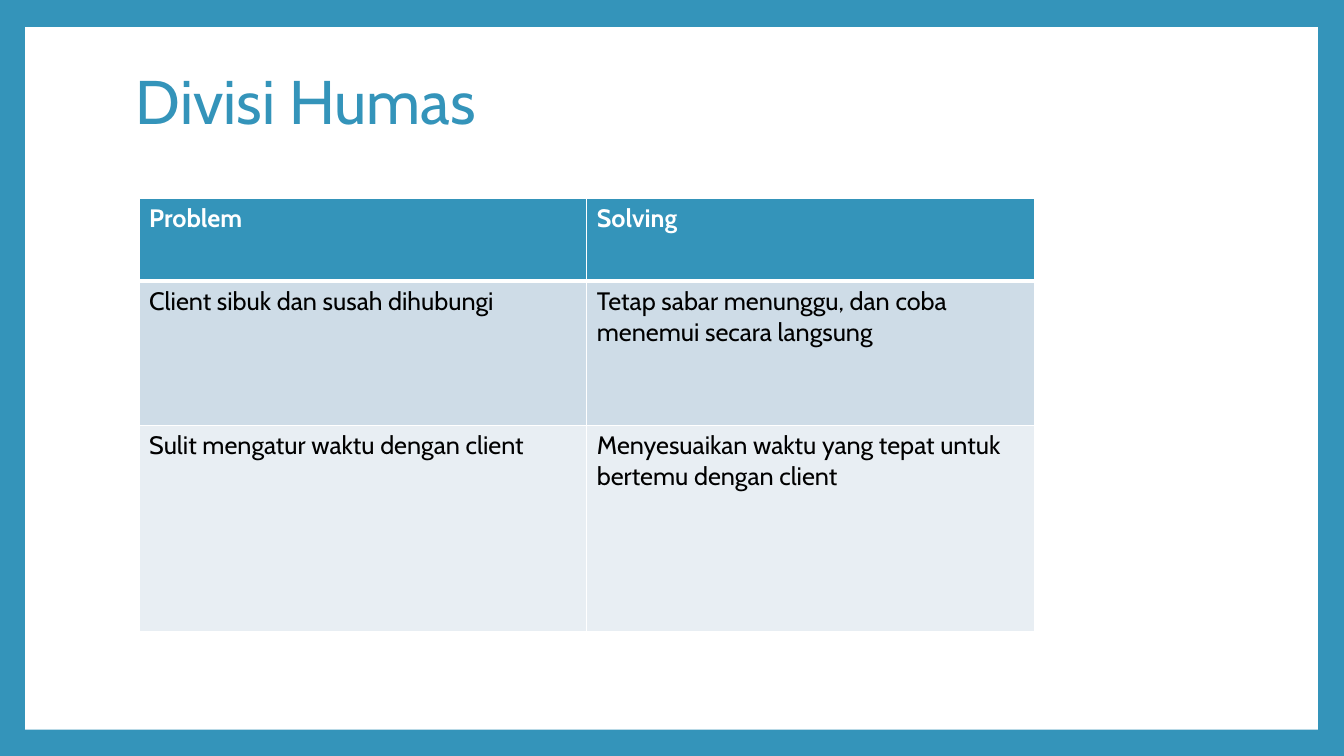
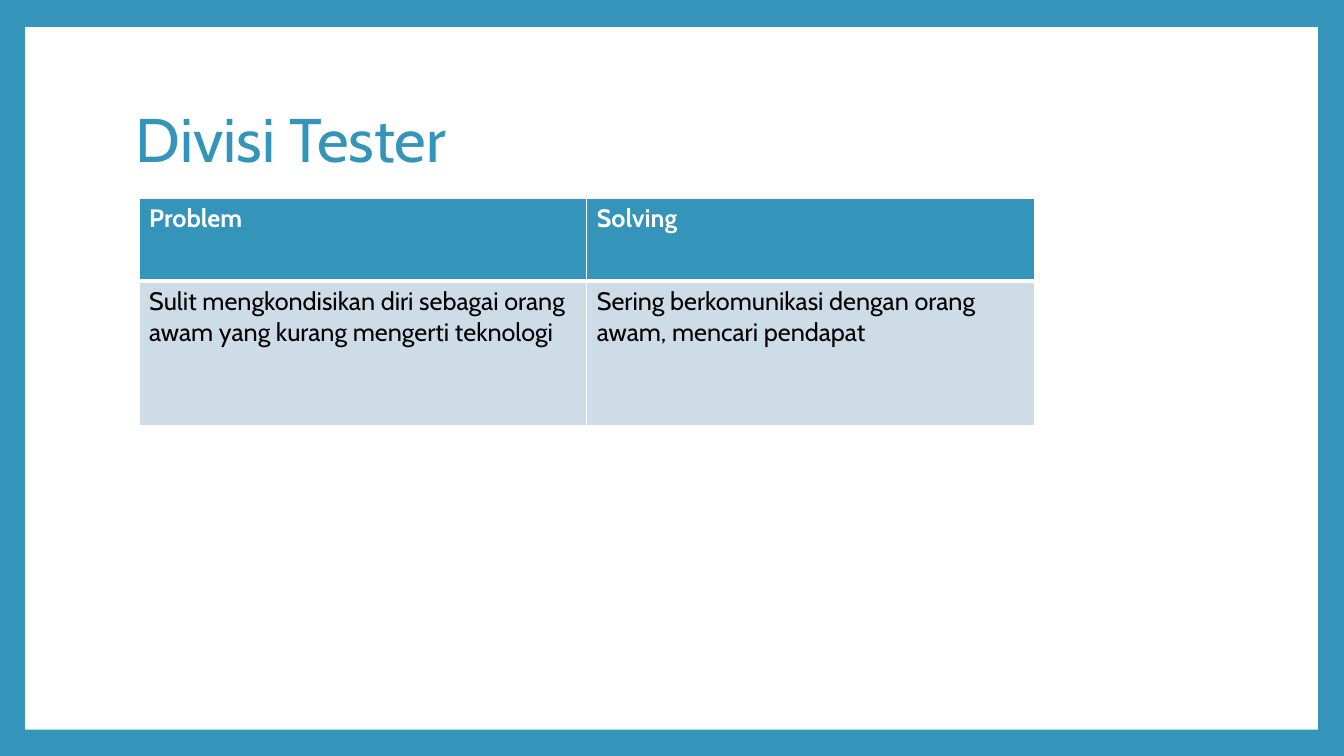
from lxml.etree import SubElement
from pptx import Presentation
from pptx.dml.color import RGBColor
from pptx.enum.shapes import MSO_SHAPE as SHAPE
from pptx.enum.text import MSO_ANCHOR as ANCHOR
from pptx.oxml.ns import qn
from pptx.util import Inches, Pt

BLUE, WHITE, BLACK = "3494BA", "FFFFFF", "000000"
BANDS = ["CEDCE7", "E8EEF3"]
HEADER = ["Problem", "Solving"]
ROW_HEIGHTS = [0.82, 1.43, 2.05]
COL_WIDTH = 4.44

# title, top of the title box, table body
SLIDES = [
    ("Divisi Humas", 0.3, [
        ["Client sibuk dan susah dihubungi",
         "Tetap sabar menunggu, dan coba menemui secara langsung"],
        ["Sulit mengatur waktu dengan client",
         "Menyesuaikan waktu yang tepat untuk bertemu dengan client"],
    ]),
    ("Divisi Tester", 0.67, [
        ["Sulit mengkondisikan diri sebagai orang awam yang kurang mengerti teknologi",
         "Sering berkomunikasi dengan orang awam, mencari pendapat"],
    ]),
]


def rgb(value):
    return RGBColor.from_string(value)


def box(*lengths):
    return [Inches(v) for v in lengths]


class Deck:
    font = "Cabin"

    def __init__(self):
        self.prs = Presentation()
        self.prs.slide_width, self.prs.slide_height = box(13.33, 7.5)
        self.s = None

    def add_slide(self):
        """Start a blank slide with the blue frame around a white panel."""
        self.s = self.prs.slides.add_slide(self.prs.slide_layouts[6])
        fill = self.s.background.fill
        fill.solid()
        fill.fore_color.rgb = rgb(BLUE)
        panel = self.s.shapes.add_shape(SHAPE.RECTANGLE, *box(0.25, 0.27, 12.82, 6.97))
        panel.shadow.inherit = False
        panel.fill.solid()
        panel.fill.fore_color.rgb = rgb(WHITE)
        panel.line.fill.background()

    def add_text(self, tf, text, color, size, bold=False):
        r = tf.paragraphs[0].add_run()
        r.text = text
        for name, value in {"name": self.font, "size": Pt(size), "bold": bold}.items():
            setattr(r.font, name, value)
        r.font.color.rgb = rgb(color)

    def title(self, text, top):
        tf = self.s.shapes.add_textbox(*box(1.25, top, 10.8, 1.48)).text_frame
        tf.word_wrap = True
        tf.vertical_anchor = ANCHOR.MIDDLE
        tf.paragraphs[0].line_spacing = 0.9
        self.add_text(tf, text, BLUE, 44)

    def borders(self, cell, top, bottom):
        """Draw white cell edges; top and bottom are widths in points."""
        tc_pr = cell._tc.get_or_add_tcPr()
        for side, width in {"L": 1, "R": 1, "T": top, "B": bottom}.items():
            ln = SubElement(tc_pr, qn(f"a:ln{side}"), w=str(Pt(width)))
            SubElement(SubElement(ln, qn("a:solidFill")), qn("a:srgbClr"), val=WHITE)

    def table(self, body):
        rows = [HEADER] + body
        heights = ROW_HEIGHTS[:len(rows)]
        size = box(1.38, 1.97, COL_WIDTH * len(HEADER), sum(heights))
        table = self.s.shapes.add_table(len(rows), len(HEADER), *size).table
        table.horz_banding = False
        for column in table.columns:
            column.width = Inches(COL_WIDTH)
        for i, (texts, height) in enumerate(zip(rows, heights)):
            table.rows[i].height = Inches(height)
            head = i == 0
            for cell, text in zip(table.rows[i].cells, texts):
                self.borders(cell, top=3 if i == 1 else 1, bottom=3 if head else 1)
                cell.fill.solid()
                cell.fill.fore_color.rgb = rgb(BLUE if head else BANDS[(i - 1) % 2])
                self.add_text(cell.text_frame, text, WHITE if head else BLACK, 18, head)


def main():
    deck = Deck()
    for title, top, body in SLIDES:
        deck.add_slide()
        deck.title(title, top)
        deck.table(body)
    deck.prs.save("out.pptx")


if __name__ == "__main__":
    main()
